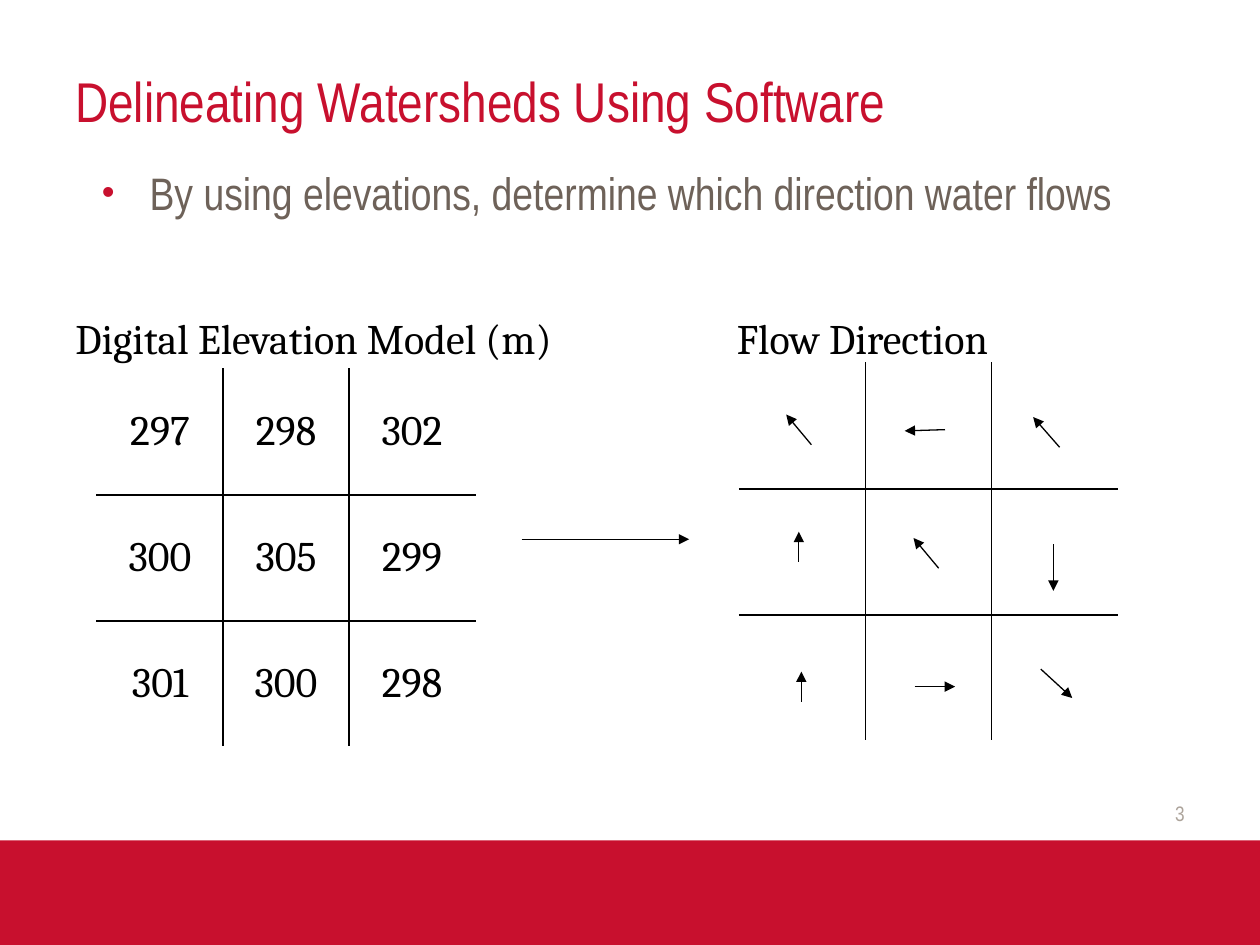
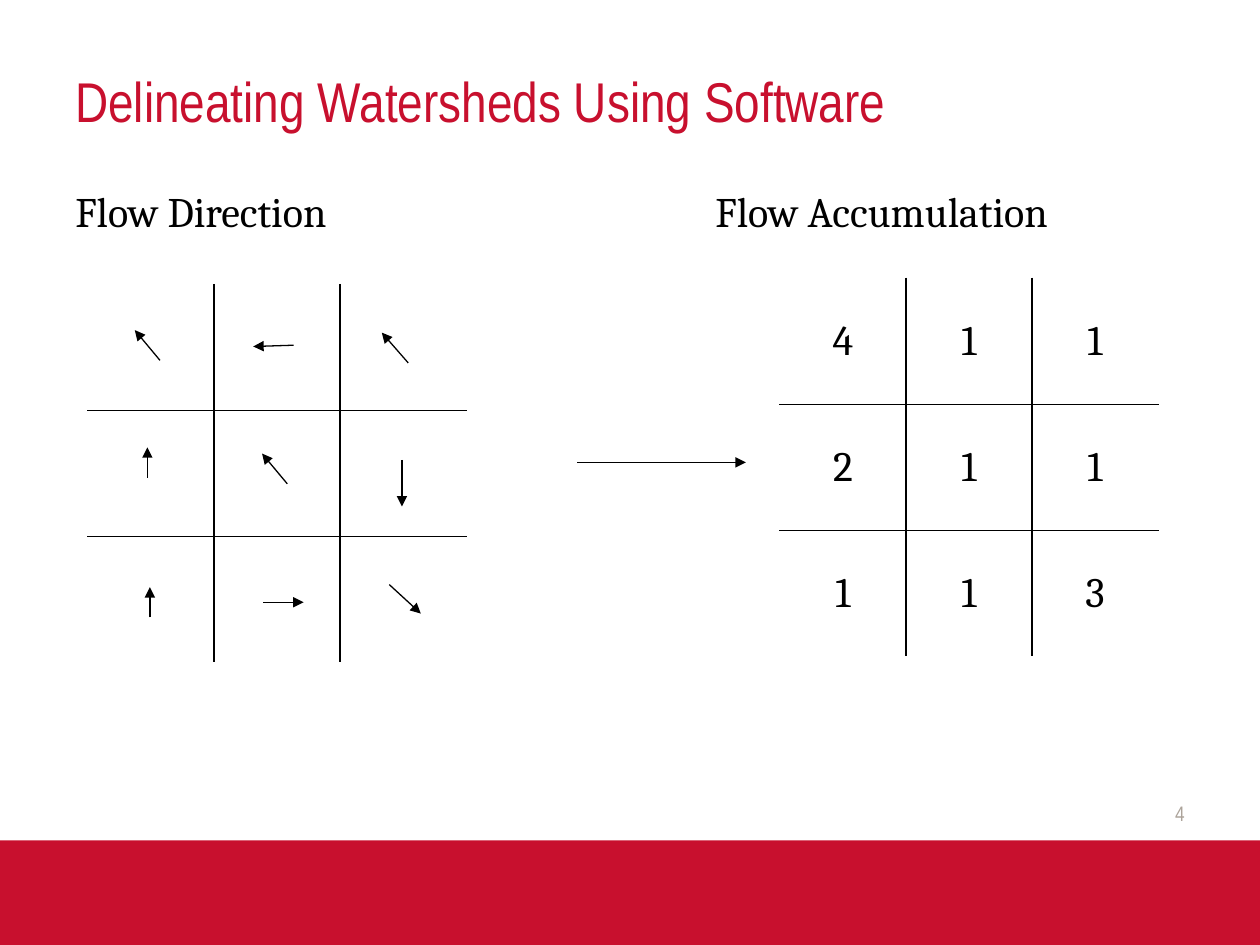
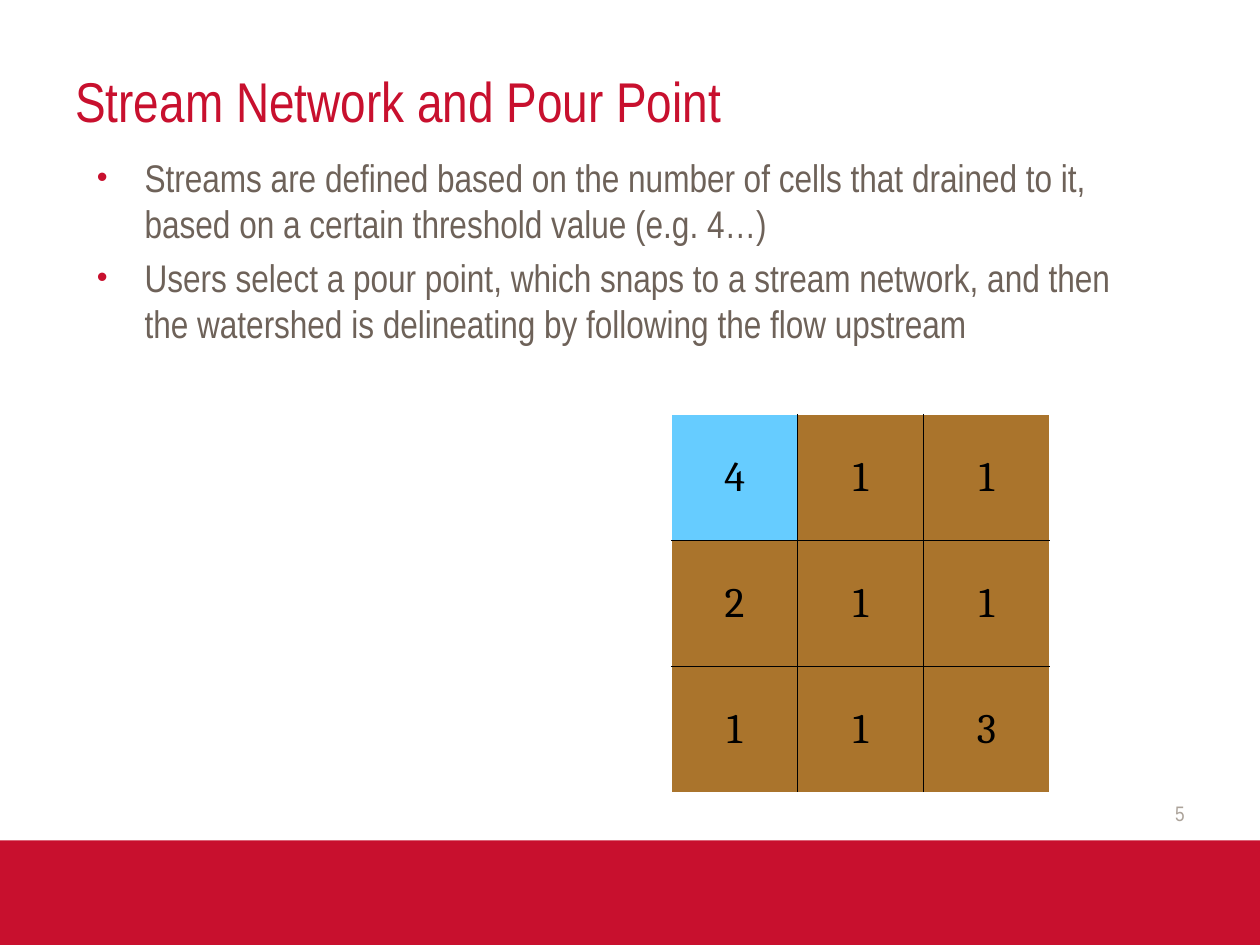
from typing import NamedTuple

from lxml.etree import SubElement
from pptx import Presentation
from pptx.dml.color import RGBColor
from pptx.enum.shapes import MSO_CONNECTOR, MSO_SHAPE
from pptx.enum.text import MSO_ANCHOR as Anchor, PP_ALIGN as Align
from pptx.oxml.ns import qn
from pptx.util import Inches, Pt

RED, GREY, BROWN_GREY = "C8102E", "ACA39A", "6E6259"
BLACK, WHITE, LAND, STREAM = "000000", "FFFFFF", "AA742C", "66CCFF"
SANS, SERIF = "Arial Narrow", "Cambria"
GRID_SIZE = 3
BULLET_INDENT = Inches(0.38)


class Style(NamedTuple):
    font: str
    size: float
    color: str
    align: Align = Align.LEFT
    anchor: Anchor = Anchor.TOP


class Box(NamedTuple):
    left: float
    top: float
    width: float
    height: float


class Arrow(NamedTuple):
    x1: float
    y1: float
    x2: float
    y2: float


TITLE = Style(SANS, 32, RED, anchor=Anchor.MIDDLE)
PAGE_NUMBER = Style(SANS, 12, GREY, Align.RIGHT, Anchor.MIDDLE)
HEADING = Style(SERIF, 24, BLACK)
CELL = Style(SERIF, 24, BLACK, Align.CENTER, Anchor.MIDDLE)

ELEVATIONS = [[297, 298, 302], [300, 305, 299], [301, 300, 298]]
ACCUMULATION = [[4, 1, 1], [2, 1, 1], [1, 1, 3]]
STREAM_THRESHOLD = 4

# Measured from the top left corner of the flow direction grid
FLOW_ARROWS = [
    Arrow(0.57, 0.65, 0.37, 0.41), Arrow(1.63, 0.53, 1.31, 0.54), Arrow(2.54, 0.67, 2.33, 0.43),
    Arrow(0.47, 1.58, 0.47, 1.34), Arrow(1.58, 1.63, 1.38, 1.39), Arrow(2.49, 1.44, 2.49, 1.81),
    Arrow(0.49, 2.69, 0.49, 2.45), Arrow(1.39, 2.57, 1.71, 2.57), Arrow(2.39, 2.43, 2.64, 2.66),
]


def rgb(color: str) -> RGBColor:
    return RGBColor.from_string(color)


def format_paragraph(paragraph, style: Style) -> None:
    paragraph.alignment = style.align
    for run in paragraph.runs:
        run.font.name = style.font
        run.font.size = Pt(style.size)
        run.font.color.rgb = rgb(style.color)


def add_text(slide, box: Box, lines: list[str], style: Style):
    """Add a wrapped text box with one paragraph per line and return its frame."""
    frame = slide.shapes.add_textbox(*map(Inches, box)).text_frame
    frame.word_wrap = True
    frame.vertical_anchor = style.anchor
    frame.text = "\n".join(lines)
    for paragraph in frame.paragraphs:
        format_paragraph(paragraph, style)
    return frame


def add_bullets(slide, box: Box, lines: list[str], size: float) -> None:
    frame = add_text(slide, box, lines, Style(SANS, size, BROWN_GREY))
    for paragraph in frame.paragraphs:
        paragraph.space_before = Pt(size * 0.2)
        props = paragraph._p.get_or_add_pPr()
        props.set("marL", str(BULLET_INDENT))
        props.set("indent", str(-BULLET_INDENT))
        SubElement(SubElement(props, qn("a:buClr")), qn("a:srgbClr"), val=RED)
        SubElement(props, qn("a:buSzPct"), val="80000")
        SubElement(props, qn("a:buFont"), typeface="Arial")
        SubElement(props, qn("a:buChar"), char="•")


def add_heading(slide, left: float, top: float, text: str) -> None:
    add_text(slide, Box(left, top, 4.56, 0.5), [text], HEADING)


def add_arrow(shapes, arrow: Arrow, left: float = 0, top: float = 0) -> None:
    """Draw an arrow whose points are measured from (left, top)."""
    connector = shapes.add_connector(
        MSO_CONNECTOR.STRAIGHT,
        Inches(left + arrow.x1), Inches(top + arrow.y1),
        Inches(left + arrow.x2), Inches(top + arrow.y2),
    )
    connector.line.color.rgb = rgb(BLACK)
    connector.line.width = Pt(0.75)
    SubElement(connector.line._get_or_add_ln(), qn("a:tailEnd"), type="triangle")
    SubElement(connector._element.spPr, qn("a:effectLst"))


def add_flow_arrows(slide, left: float, top: float) -> None:
    group = slide.shapes.add_group_shape()
    for arrow in FLOW_ARROWS:
        add_arrow(group.shapes, arrow, left, top)


def set_borders(cell, row: int, column: int) -> None:
    """Rule the inner sides of the grid in black and the outer ones in white."""
    last = GRID_SIZE - 1
    outer_sides = {"L": column == 0, "R": column == last, "T": row == 0, "B": row == last}
    props = cell._tc.get_or_add_tcPr()
    for side, is_outer in outer_sides.items():
        border = SubElement(props, qn(f"a:ln{side}"), w=str(Pt(1)))
        fill = SubElement(border, qn("a:solidFill"))
        SubElement(fill, qn("a:srgbClr"), val=WHITE if is_outer else BLACK)


def add_grid(slide, left: float, top: float, values=None, shaded: bool = False) -> None:
    """Add a grid of one-inch cells, shaded by stream threshold if asked."""
    side = Inches(GRID_SIZE)
    table = slide.shapes.add_table(
        GRID_SIZE, GRID_SIZE, Inches(left), Inches(top), side, side
    ).table
    table.first_row = table.horz_banding = False
    for row in range(GRID_SIZE):
        for column in range(GRID_SIZE):
            cell = table.cell(row, column)
            set_borders(cell, row, column)
            color = WHITE
            if values:
                value = values[row][column]
                cell.text_frame.text = str(value)
                format_paragraph(cell.text_frame.paragraphs[0], CELL)
                cell.vertical_anchor = CELL.anchor
                if shaded:
                    color = STREAM if value >= STREAM_THRESHOLD else LAND
            cell.fill.solid()
            cell.fill.fore_color.rgb = rgb(color)


def add_slide(deck, title: str, number: int):
    slide = deck.slides.add_slide(deck.slide_layouts[6])
    band = slide.shapes.add_shape(
        MSO_SHAPE.RECTANGLE, 0, Inches(6.67), deck.slide_width, Inches(0.83)
    )
    band.shadow.inherit = False
    band.fill.solid()
    band.fill.fore_color.rgb = rgb(RED)
    band.line.fill.background()
    add_text(slide, Box(0.5, 0.17, 8.5, 1.25), [title], TITLE)
    add_text(slide, Box(7.17, 6.25, 2.33, 0.4), [str(number)], PAGE_NUMBER)
    return slide


def add_flow_direction_slide(deck) -> None:
    slide = add_slide(deck, "Delineating Watersheds Using Software", 3)
    add_grid(slide, 0.77, 2.93, ELEVATIONS)
    add_heading(slide, 0.5, 2.43, "Digital Elevation Model (m)")
    add_arrow(slide.shapes, Arrow(4.14, 4.28, 5.47, 4.28))
    add_grid(slide, 5.87, 2.88)
    add_heading(slide, 5.75, 2.43, "Flow Direction")
    add_flow_arrows(slide, 5.87, 2.88)
    add_bullets(
        slide, Box(0.71, 1.26, 8.33, 0.9),
        ["By using elevations, determine which direction water flows"], 26,
    )


def add_flow_accumulation_slide(deck) -> None:
    slide = add_slide(deck, "Delineating Watersheds Using Software", 4)
    add_heading(slide, 0.5, 1.42, "Flow Direction")
    add_arrow(slide.shapes, Arrow(4.58, 3.67, 5.92, 3.67))
    add_grid(slide, 0.7, 2.26)
    add_heading(slide, 5.58, 1.42, "Flow Accumulation")
    add_flow_arrows(slide, 0.7, 2.21)
    add_grid(slide, 6.19, 2.21, ACCUMULATION)


def add_stream_network_slide(deck) -> None:
    slide = add_slide(deck, "Stream Network and Pour Point", 5)
    add_grid(slide, 5.33, 3.29, ACCUMULATION, shaded=True)
    add_bullets(
        slide, Box(0.67, 1.17, 8.33, 4.5),
        [
            "Streams are defined based on the number of cells that drained to it, "
            "based on a certain threshold value (e.g. 4…)",
            "Users select a pour point, which snaps to a stream network, and then "
            "the watershed is delineating by following the flow upstream",
        ],
        22,
    )


def main() -> None:
    deck = Presentation()
    deck.slide_width, deck.slide_height = Inches(10), Inches(7.5)
    add_flow_direction_slide(deck)
    add_flow_accumulation_slide(deck)
    add_stream_network_slide(deck)
    deck.save("out.pptx")


if __name__ == "__main__":
    main()
